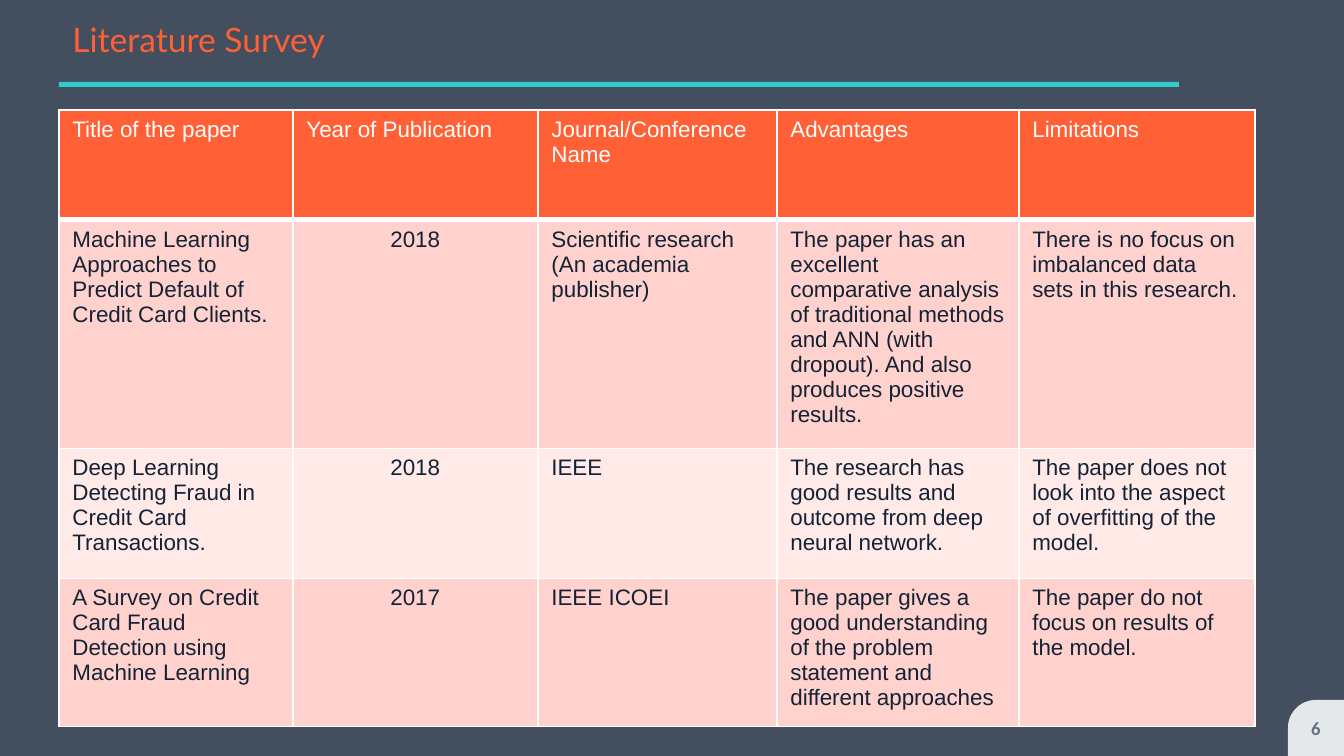
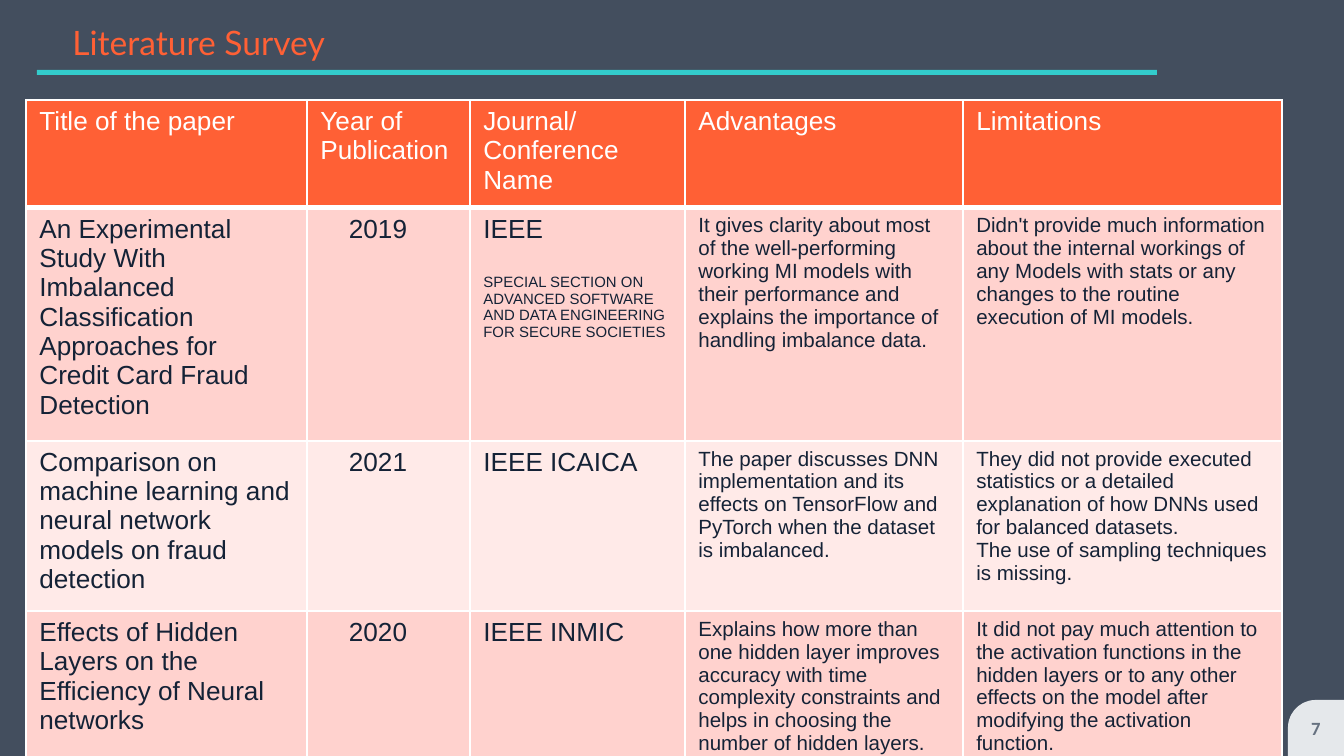
from lxml import etree
from pptx import Presentation
from pptx.dml.color import RGBColor
from pptx.enum.shapes import MSO_SHAPE
from pptx.enum.text import MSO_ANCHOR, MSO_AUTO_SIZE, PP_ALIGN
from pptx.oxml.ns import qn
from pptx.util import Pt

SCALE = 914400 / 134.4
WIDE, HIGH = 1344, 756
RECT, TAB = MSO_SHAPE.RECTANGLE, MSO_SHAPE.ROUND_1_RECTANGLE
LEFT, MID = PP_ALIGN.LEFT, PP_ALIGN.CENTER
TOP, CORE = MSO_ANCHOR.TOP, MSO_ANCHOR.MIDDLE
GROW = MSO_AUTO_SIZE.SHAPE_TO_FIT_TEXT

WHITE = RGBColor(0xFF, 0xFF, 0xFF)
NAVY = RGBColor(0x14, 0x22, 0x36)
CORAL = RGBColor(0xFF, 0x60, 0x35)
ROSE = RGBColor(0xFF, 0xD2, 0xCE)
BLUSH = RGBColor(0xFF, 0xEA, 0xE8)
TEAL = RGBColor(0x33, 0xCC, 0xCC)
PALE = RGBColor(0xE5, 0xE8, 0xEB)
GRAY = RGBColor(0x66, 0x71, 0x80)

TAB_BOX = (1288, 700, 56, 56)
PAD = 13
HEADS = ["Title of the paper", "Year of Publication", "Journal/Conference Name",
         "Advantages", "Limitations"]

PAGES = [
    {
        "page": "6",
        "title": (59, 12, 672, 54),
        "rule": (59, 82, 1120, 5),
        "grid": (59, 110),
        "cols": [234, 245, 239, 242, 236],
        "rows": [110, 130, 130, 130],
        "sizes": [12] * 5,
        "head": 12,
        "align": MID,
        "inset": 0,
        "papers": [
            ["Machine Learning Approaches to Predict Default of Credit Card Clients.",
             "2018",
             "Scientific research\n(An academia publisher)",
             "The paper has an excellent comparative analysis of traditional methods "
             "and ANN (with dropout). And also produces positive results.",
             "There is no focus on imbalanced data sets in this research."],
            ["Deep Learning Detecting Fraud in Credit Card\nTransactions.",
             "2018",
             "IEEE",
             "The research has good results and outcome from deep neural network.",
             "The paper does not look into the aspect of overfitting of the model."],
            ["A Survey on Credit Card Fraud Detection using\nMachine Learning",
             "2017",
             "IEEE ICOEI",
             "The paper gives a good understanding of the problem statement and "
             "different approaches",
             "The paper do not focus on results of the model."],
        ],
    },
    {
        "page": "7",
        "title": (59, 15, 344, 54),
        "rule": (37, 70, 1120, 5),
        "grid": (26, 100),
        "cols": [281, 163, 215, 278, 319],
        "rows": [97, 181, 153, 168],
        "sizes": [14, 14, 14, 11, 11],
        "head": 14,
        "align": LEFT,
        "inset": 29,
        "papers": [
            ["An Experimental Study With Imbalanced Classification Approaches for "
             "Credit Card Fraud Detection",
             "2019",
             "IEEE\nSPECIAL SECTION ON ADVANCED SOFTWARE AND DATA ENGINEERING FOR "
             "SECURE SOCIETIES",
             "It gives clarity about most of the well-performing working MI models "
             "with their performance and explains the importance of handling "
             "imbalance data.",
             "Didn't provide much information about the internal workings of any "
             "Models with stats or any changes to the routine execution of MI models."],
            ["Comparison on machine learning and neural network models on fraud "
             "detection",
             "2021",
             "IEEE ICAICA",
             "The paper discusses DNN implementation and its effects on TensorFlow "
             "and PyTorch when the dataset is imbalanced.",
             "They did not provide executed statistics or a detailed explanation of "
             "how DNNs used for balanced datasets.\n"
             "The use of sampling techniques is missing."],
            ["Effects of Hidden Layers on the Efficiency of Neural networks",
             "2020",
             "IEEE INMIC",
             "Explains how more than one hidden layer improves accuracy with time "
             "complexity constraints and helps in choosing the number of hidden "
             "layers.",
             "It did not pay much attention to the activation functions in the "
             "hidden layers or to any other effects on the model after modifying "
             "the activation function."],
        ],
    },
]


def px(num):
    return round(num * SCALE)


def put(frame, text, size=12, font="Arial", color=NAVY, bold=False, align=LEFT):
    """Fill a text frame, one paragraph per line of text."""
    frame.word_wrap = True
    for num, line in enumerate(text.split("\n")):
        para = frame.add_paragraph() if num else frame.paragraphs[0]
        para.alignment = align
        run = para.add_run()
        run.text = line
        run.font.size = Pt(size)
        run.font.name = font
        run.font.bold = bold
        run.font.color.rgb = color


def block(slide, kind, box, color):
    shape = slide.shapes.add_shape(kind, *map(px, box))
    shape.shadow.inherit = False
    shape.fill.solid()
    shape.fill.fore_color.rgb = color
    shape.line.fill.background()
    return shape


def edge(cell, side, width):
    line = etree.SubElement(cell._tc.get_or_add_tcPr(), qn("a:ln" + side),
                            w=str(Pt(width)))
    fill = etree.SubElement(line, qn("a:solidFill"))
    etree.SubElement(fill, qn("a:srgbClr"), val=str(WHITE))


def base(deck, slide):
    """Move the tinted backdrop and the corner tab to the master."""
    tint = block(slide, RECT, (0, 0, WIDE, HIGH), NAVY)
    tone = tint.element.spPr.find(".//" + qn("a:srgbClr"))
    etree.SubElement(tone, qn("a:alpha"), val="80000")
    tab = block(slide, TAB, TAB_BOX, PALE)
    tab.adjustments[0] = 0.5
    tab.element.spPr.find(qn("a:xfrm")).set("flipH", "1")
    tree = deck.slide_master.shapes.element
    for spot, shape in enumerate((tint, tab), 2):
        tree.insert(spot, shape.element)


def header(slide, box, rule):
    title = slide.shapes.title
    title.left, title.top, title.width, title.height = map(px, box)
    frame = title.text_frame
    frame.vertical_anchor = TOP
    frame.auto_size = GROW
    put(frame, "Literature Survey", size=18, font="Lato", color=CORAL)
    block(slide, RECT, rule, TEAL)


def footer(slide, page):
    frame = slide.shapes.add_textbox(*map(px, TAB_BOX)).text_frame
    frame.margin_left = frame.margin_right = 0
    frame.margin_top = frame.margin_bottom = 0
    frame.vertical_anchor = CORE
    put(frame, page, size=10, font="Calibri", color=GRAY, bold=True, align=MID)


def survey(slide, data):
    """Draw the table of papers, with a header row and banded rows."""
    cols, rows = data["cols"], data["rows"]
    box = (*data["grid"], sum(cols), sum(rows))
    grid = slide.shapes.add_table(len(rows), len(cols), *map(px, box)).table
    for col, width in zip(grid.columns, cols):
        col.width = px(width)
    for row, height in zip(grid.rows, rows):
        row.height = px(height)

    for r, texts in enumerate([HEADS] + data["papers"]):
        head = r == 0
        for c, text in enumerate(texts):
            cell = grid.cell(r, c)
            for side in "LRTB":
                edge(cell, side, 3 if head and side == "B" else 1)
            cell.fill.solid()
            cell.fill.fore_color.rgb = CORAL if head else ROSE if r % 2 else BLUSH
            year = c == 1 and not head
            if year:
                cell.margin_left = px(PAD + data["inset"])
            put(cell.text_frame, text,
                size=data["head"] if head else data["sizes"][c],
                color=WHITE if head else NAVY,
                align=data["align"] if year else LEFT)
    return grid


def main():
    deck = Presentation()
    deck.slide_width, deck.slide_height = px(WIDE), px(HIGH)
    for num, data in enumerate(PAGES):
        slide = deck.slides.add_slide(deck.slide_layouts[5])
        if num == 0:
            base(deck, slide)
        footer(slide, data["page"])
        grid = survey(slide, data)
        header(slide, data["title"], data["rule"])

    # Small print under the first journal of the last table
    note = grid.cell(1, 2).text_frame.paragraphs[1]
    note.space_before = Pt(16)
    note.runs[0].font.size = Pt(8)
    deck.save("out.pptx")


if __name__ == "__main__":
    main()
